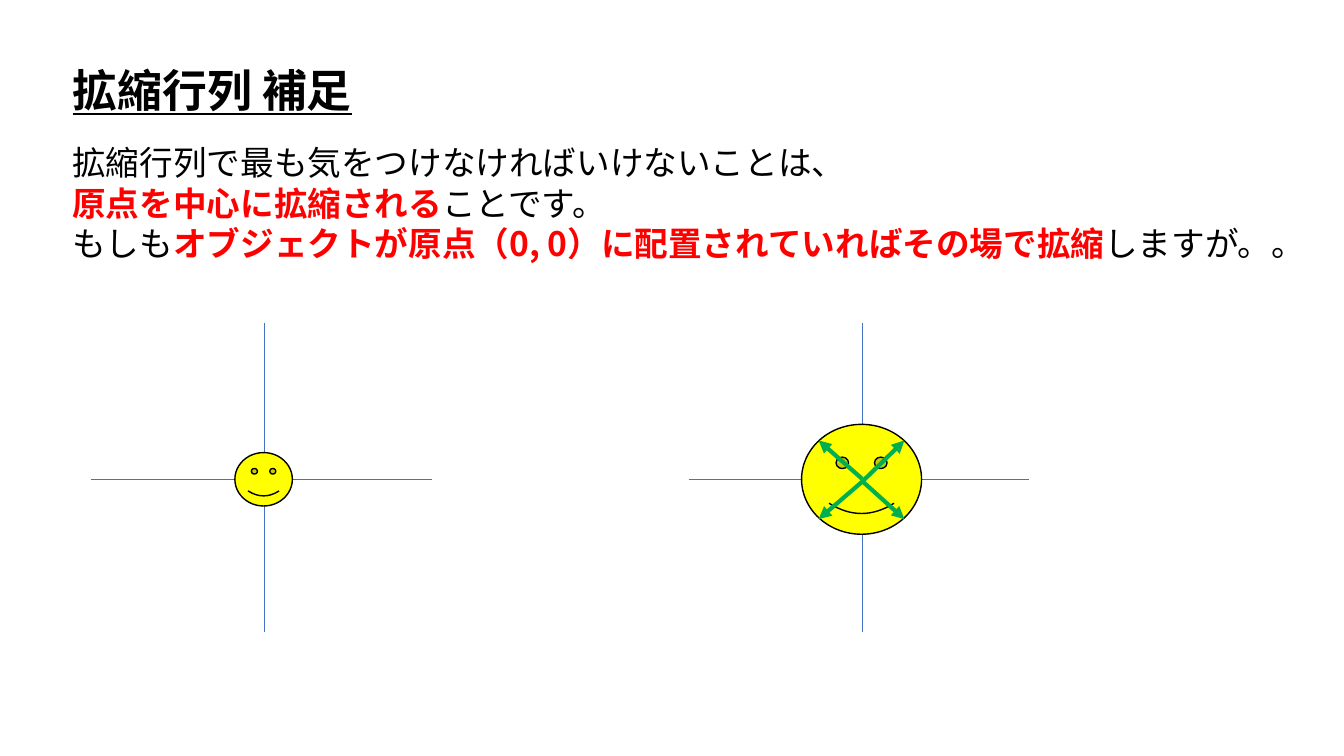
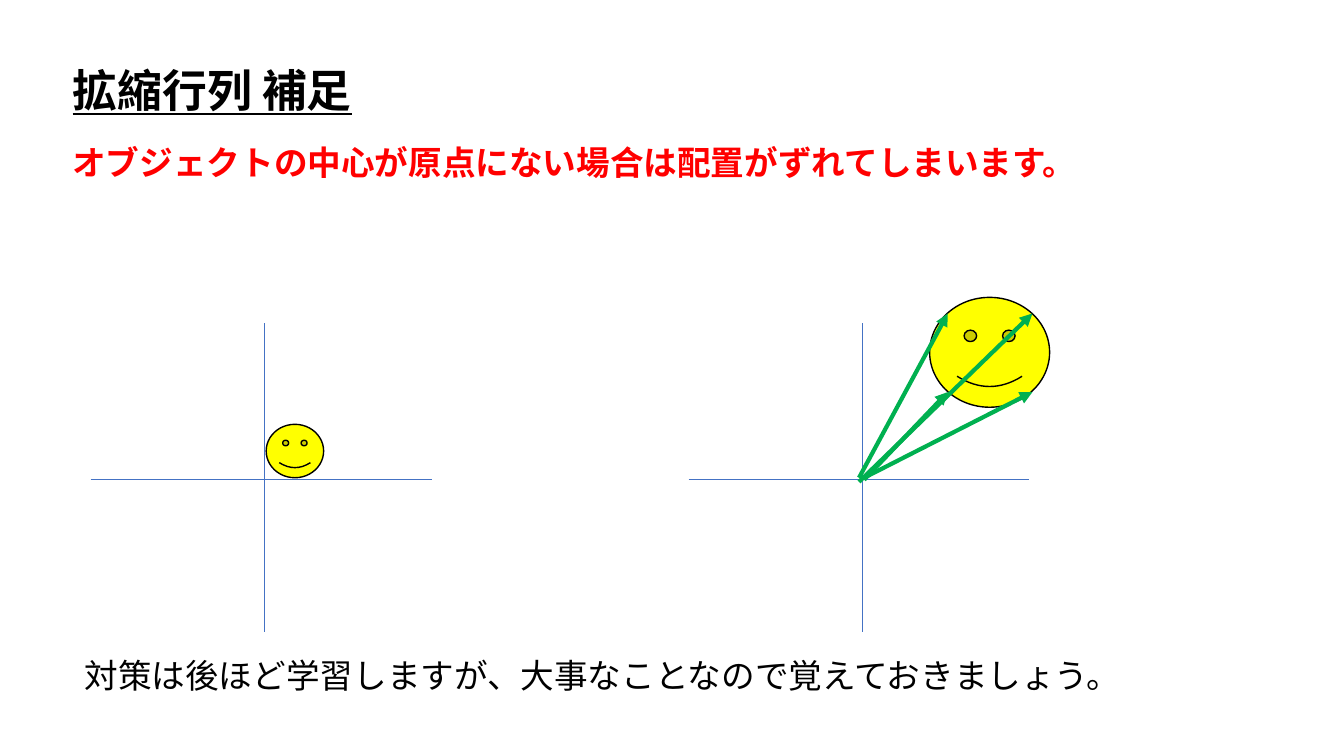
from dataclasses import dataclass

from lxml.etree import SubElement
from pptx import Presentation
from pptx.dml.color import RGBColor
from pptx.enum.shapes import MSO_CONNECTOR, MSO_SHAPE
from pptx.enum.text import MSO_ANCHOR, MSO_AUTO_SIZE, PP_ALIGN
from pptx.oxml.ns import qn
from pptx.slide import Slide
from pptx.text.text import TextFrame
from pptx.util import Inches, Pt

BLACK = RGBColor(0x00, 0x00, 0x00)
RED = RGBColor(0xFF, 0x00, 0x00)
YELLOW = RGBColor(0xFF, 0xFF, 0x00)
AXIS_BLUE = RGBColor(0x44, 0x72, 0xC4)
ARROW_GREEN = RGBColor(0x00, 0xB0, 0x50)

FONT = "Noto Sans CJK JP"
TITLE = "拡縮行列 補足"
TITLE_SIZE = 32
BODY_SIZE = 24
LINE_PITCH = 1.2

TEXT_LEFT = 0.62
BODY_TOP = 1.33
BEFORE_X = 2.62
AFTER_X = 8.55
ORIGIN_Y = 4.76
AXIS_LEFT, AXIS_RIGHT = 1.72, 1.66
AXIS_TOP, AXIS_BOTTOM = 3.2, 6.27
SMALL_FACE = (0.57, 0.53)
LARGE_FACE = (1.19, 1.09)

Point = tuple[float, float]


@dataclass(frozen=True)
class Phrase:
    text: str
    key: bool = False


@dataclass(frozen=True)
class Note:
    left: float
    top: float
    width: float
    lines: list[list[Phrase]]


@dataclass(frozen=True)
class Plane:
    origin_x: float
    face_corner: Point
    face_size: Point


@dataclass(frozen=True)
class Arrow:
    start: Point
    end: Point


@dataclass(frozen=True)
class Page:
    notes: list[Note]
    planes: list[Plane]
    arrows: list[Arrow]


PAGES = [
    Page(
        notes=[Note(TEXT_LEFT, BODY_TOP, 12.6, [
            [Phrase("拡縮行列で最も気をつけなければいけないことは、")],
            [Phrase("原点を中心に拡縮される", key=True), Phrase("ことです。")],
            [Phrase("もしも"),
             Phrase("オブジェクトが原点（0, 0）に配置されていればその場で拡縮", key=True),
             Phrase("しますが。。")],
        ])],
        planes=[Plane(BEFORE_X, (2.33, 4.49), SMALL_FACE),
                Plane(AFTER_X, (7.95, 4.21), LARGE_FACE)],
        arrows=[Arrow((8.55, 4.78), (8.97, 4.37)),
                Arrow((8.55, 4.75), (8.12, 4.37)),
                Arrow((8.56, 4.78), (8.97, 5.15)),
                Arrow((8.55, 4.78), (8.12, 5.15))],
    ),
    Page(
        notes=[
            Note(TEXT_LEFT, BODY_TOP, 10.64, [
                [Phrase("オブジェクトの中心が原点にない場合は配置がずれてしまいます。", key=True)]]),
            Note(0.74, 6.42, 10.64, [
                [Phrase("対策は後ほど学習しますが、大事なことなので覚えておきましょう。")]]),
        ],
        planes=[Plane(BEFORE_X, (2.64, 4.21), SMALL_FACE),
                Plane(AFTER_X, (9.22, 2.95), LARGE_FACE)],
        arrows=[Arrow((8.59, 4.73), (10.24, 3.89)),
                Arrow((8.52, 4.78), (10.24, 3.11)),
                Arrow((8.52, 4.74), (9.4, 3.11)),
                Arrow((8.57, 4.76), (9.4, 3.89))],
    ),
]


def write_lines(frame: TextFrame, lines: list[list[Phrase]], size: int) -> None:
    frame.word_wrap = True
    frame.auto_size = MSO_AUTO_SIZE.NONE
    frame.vertical_anchor = MSO_ANCHOR.TOP
    frame.margin_top = Inches(0.08)
    frame.margin_right = Inches(0)
    for number, phrases in enumerate(lines):
        paragraph = frame.add_paragraph() if number else frame.paragraphs[0]
        paragraph.alignment = PP_ALIGN.LEFT
        paragraph.line_spacing = Pt(size * LINE_PITCH)
        for phrase in phrases:
            run = paragraph.add_run()
            run.text = phrase.text
            run.font.size = Pt(size)
            run.font.name = FONT
            run.font.bold = phrase.key
            run.font.color.rgb = RED if phrase.key else BLACK
            SubElement(run.font._element, qn("a:ea"), typeface=FONT)


def add_title(slide: Slide) -> None:
    title = slide.shapes.title
    title.left, title.top = Inches(TEXT_LEFT), Inches(0.54)
    title.width, title.height = Inches(3.02), Inches(0.64)
    write_lines(title.text_frame, [[Phrase(TITLE)]], TITLE_SIZE)
    font = title.text_frame.paragraphs[0].runs[0].font
    font.bold = True
    font.underline = True


def add_note(slide: Slide, note: Note) -> None:
    height = 0.1 + 0.4 * len(note.lines)
    box = slide.shapes.add_textbox(Inches(note.left), Inches(note.top),
                                   Inches(note.width), Inches(height))
    write_lines(box.text_frame, note.lines, BODY_SIZE)


def add_line(slide: Slide, start: Point, end: Point, color: RGBColor,
             weight: float, arrowhead: bool = False) -> None:
    line = slide.shapes.add_connector(
        MSO_CONNECTOR.STRAIGHT, *(Inches(value) for value in (*start, *end)))
    line.line.color.rgb = color
    line.line.width = Pt(weight)
    properties = line._element.spPr
    if arrowhead:
        SubElement(properties.find(qn("a:ln")), qn("a:tailEnd"), type="triangle")
    SubElement(properties, qn("a:effectLst"))


def add_plane(slide: Slide, plane: Plane) -> None:
    """Draw the two axes through the origin, then the face over them."""
    x = plane.origin_x
    add_line(slide, (x - AXIS_LEFT, ORIGIN_Y), (x + AXIS_RIGHT, ORIGIN_Y), AXIS_BLUE, 0.5)
    add_line(slide, (x, AXIS_BOTTOM), (x, AXIS_TOP), AXIS_BLUE, 0.5)
    face = slide.shapes.add_shape(
        MSO_SHAPE.SMILEY_FACE,
        *(Inches(value) for value in (*plane.face_corner, *plane.face_size)))
    face.shadow.inherit = False
    face.fill.solid()
    face.fill.fore_color.rgb = YELLOW
    face.line.color.rgb = BLACK
    face.line.width = Pt(1)


def main() -> None:
    presentation = Presentation()
    presentation.slide_width = Inches(13.33)
    presentation.slide_height = Inches(7.5)
    title_only = presentation.slide_layouts[5]
    for page in PAGES:
        slide = presentation.slides.add_slide(title_only)
        add_title(slide)
        for plane in page.planes:
            add_plane(slide, plane)
        for arrow in page.arrows:
            add_line(slide, arrow.start, arrow.end, ARROW_GREEN, 3, arrowhead=True)
        for note in page.notes:
            add_note(slide, note)
    presentation.save("out.pptx")


if __name__ == "__main__":
    main()
